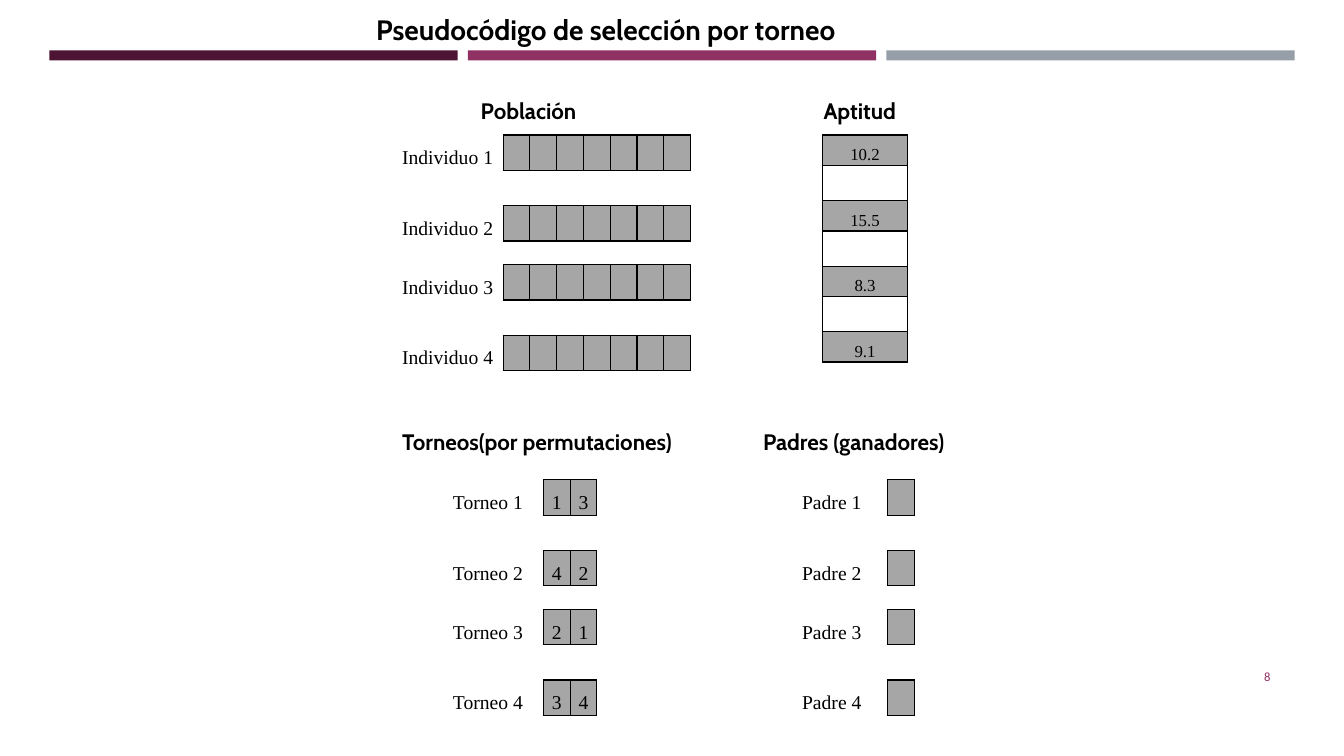
from dataclasses import dataclass

from lxml.etree import SubElement
from pptx import Presentation
from pptx.dml.color import RGBColor
from pptx.enum.shapes import MSO_SHAPE
from pptx.enum.text import MSO_ANCHOR, PP_ALIGN
from pptx.oxml.ns import qn
from pptx.util import Inches, Pt


@dataclass(frozen=True)
class Theme:
    """Colours, fonts and type sizes of the slide."""
    plum: str = "4D1434"
    rose: str = "903163"
    steel: str = "969FA7"
    gray: str = "A6A6A6"
    white: str = "FFFFFF"
    black: str = "000000"
    head: str = "Cabin"
    body: str = "Times New Roman"
    foot: str = "Calibri"
    title: int = 20
    label: int = 16
    item: int = 14
    score: int = 12
    page: int = 9
    blank: int = 8
    plain: str = "{2D5ABB26-0587-4C30-8999-92F81FD0307C}"


THEME = Theme()
STEP = (0.35, 0.35, 0.35, 0.235, 0.35, 0.35, 0.35)


def add_run(para, text, size, font, color=THEME.black, bold=False):
    """Add one styled run to a paragraph."""
    run = para.add_run()
    run.text = text
    run.font.size = Pt(size)
    run.font.name = font
    run.font.bold = bold
    run.font.color.rgb = RGBColor.from_string(color)


def add_text(slide, box):
    """Add a wrapping text box and return its frame."""
    frame = slide.shapes.add_textbox(*map(Inches, box)).text_frame
    frame.word_wrap = True
    return frame


def add_bars(slide, box):
    """Draw three equal bars across the box."""
    left, top, width, height = box
    gap = 0.1
    wide = (width - 2 * gap) / 3
    for i, color in enumerate((THEME.plum, THEME.rose, THEME.steel)):
        spot = (left + i * (wide + gap), top, wide, height)
        bar = slide.shapes.add_shape(MSO_SHAPE.RECTANGLE, *map(Inches, spot))
        bar.shadow.inherit = False
        bar.fill.solid()
        bar.fill.fore_color.rgb = RGBColor.from_string(color)
        bar.line.fill.background()


def add_title(slide, box, text):
    """Write the indented slide title."""
    frame = add_text(slide, box)
    frame.margin_left = Inches(0.6)
    para = frame.paragraphs[0]
    para.line_spacing = 1.07
    para.space_after = Pt(8)
    add_run(para, text, THEME.title, THEME.head, bold=True)


def add_head(slide, box, text):
    """Write the heading of one table."""
    para = add_text(slide, box).paragraphs[0]
    add_run(para, text, THEME.label, THEME.head, bold=True)


def add_page(slide, box, text):
    """Write the page number."""
    frame = add_text(slide, box)
    frame.vertical_anchor = MSO_ANCHOR.MIDDLE
    para = frame.paragraphs[0]
    para.alignment = PP_ALIGN.RIGHT
    para.space_after = Pt(6)
    add_run(para, text, THEME.page, THEME.foot, THEME.rose)


def fill_cell(cell, text, size, color, sides):
    """Set the text, fill and black sides of a cell."""
    cell.margin_left = cell.margin_right = Inches(0.07)
    cell.margin_top = cell.margin_bottom = 0
    cell.vertical_anchor = MSO_ANCHOR.MIDDLE
    para = cell.text_frame.paragraphs[0]
    if text:
        para.alignment = PP_ALIGN.CENTER
        para.line_spacing = 1.5
        para.space_after = Pt(12)
        add_run(para, text, size, THEME.body)
    else:
        SubElement(para._p, qn("a:endParaRPr"), sz=str(THEME.blank * 100))
    props = cell._tc.get_or_add_tcPr()
    for side in sides:
        line = SubElement(props, qn(f"a:ln{side}"), w=str(Pt(1)))
        solid = SubElement(line, qn("a:solidFill"))
        SubElement(solid, qn("a:srgbClr"), val=THEME.black)
    if color:
        cell.fill.solid()
        cell.fill.fore_color.rgb = RGBColor.from_string(color)


def add_grid(slide, box, cols, rows):
    """Add a plain table with the given column widths and row heights."""
    spot = map(Inches, (*box, sum(cols), sum(rows)))
    table = slide.shapes.add_table(len(rows), len(cols), *spot).table
    table.first_row = table.horz_banding = False
    table._tbl.tblPr.find(qn("a:tableStyleId")).text = THEME.plain
    for col, width in zip(table.columns, cols):
        col.width = Inches(width)
    for row, height in zip(table.rows, rows):
        row.height = Inches(height)
    return table


def add_ranks(slide, box, name, data):
    """Draw numbered rows of boxes with blank rows between them."""
    left, top, width = box
    count = len(data[0])
    first = 1.1
    cols = [first] + [(width - first) / count] * count
    table = add_grid(slide, (left, top), cols, STEP)
    for i, values in enumerate(data):
        row = 2 * i
        fill_cell(table.cell(row, 0), f"{name} {i + 1}", THEME.item, THEME.white, "R")
        for j, value in enumerate(values, 1):
            fill_cell(table.cell(row, j), value, THEME.item, THEME.gray, "LRTB")
    for row in range(1, len(STEP), 2):
        fill_cell(table.cell(row, 0), "", THEME.item, THEME.white, "")
        for j in range(1, count + 1):
            fill_cell(table.cell(row, j), "", THEME.item, None, "TB")
        if count > 1:
            table.cell(row, 1).merge(table.cell(row, count))


def add_scores(slide, box, scores):
    """Draw the fitness column with blank cells between scores."""
    left, top, width = box
    rows = [0.3, 0.35] * (len(scores) - 1) + [0.3]
    table = add_grid(slide, (left, top), [width], rows)
    for row in range(len(rows)):
        text, color = ("", None) if row % 2 else (scores[row // 2], THEME.gray)
        fill_cell(table.cell(row, 0), text, THEME.score, color, "LRTB")


def main():
    """Build the slide and save it."""
    deck = Presentation()
    deck.slide_width, deck.slide_height = Inches(13.33), Inches(7.5)
    slide = deck.slides.add_slide(deck.slide_layouts[6])
    add_bars(slide, (0.49, 0.5, 12.35, 0.1))
    add_page(slide, (11.55, 6.51, 1.15, 0.4), "8")
    add_title(slide, (3.13, 0.05, 7.54, 1.38), "Pseudocódigo de selección por torneo")
    add_ranks(slide, (3.89, 1.34, 2.96), "Individuo", [[""] * 7] * 4)
    add_scores(slide, (8.16, 1.34, 0.84), ("10.2", "15.5", "8.3", "9.1"))
    add_head(slide, (4.67, 0.91, 1.4, 0.37), "Población")
    add_head(slide, (8.07, 0.91, 1.04, 0.37), "Aptitud")
    add_ranks(slide, (4.29, 4.76, 1.63), "Torneo", ("13", "42", "21", "34"))
    add_head(slide, (3.89, 4.2, 3.41, 0.37), "Torneos(por permutaciones)")
    add_ranks(slide, (7.7, 4.76, 1.37), "Padre", [[""]] * 4)
    add_head(slide, (7.47, 4.2, 3.41, 0.37), "Padres (ganadores)")
    deck.save("out.pptx")


if __name__ == "__main__":
    main()
